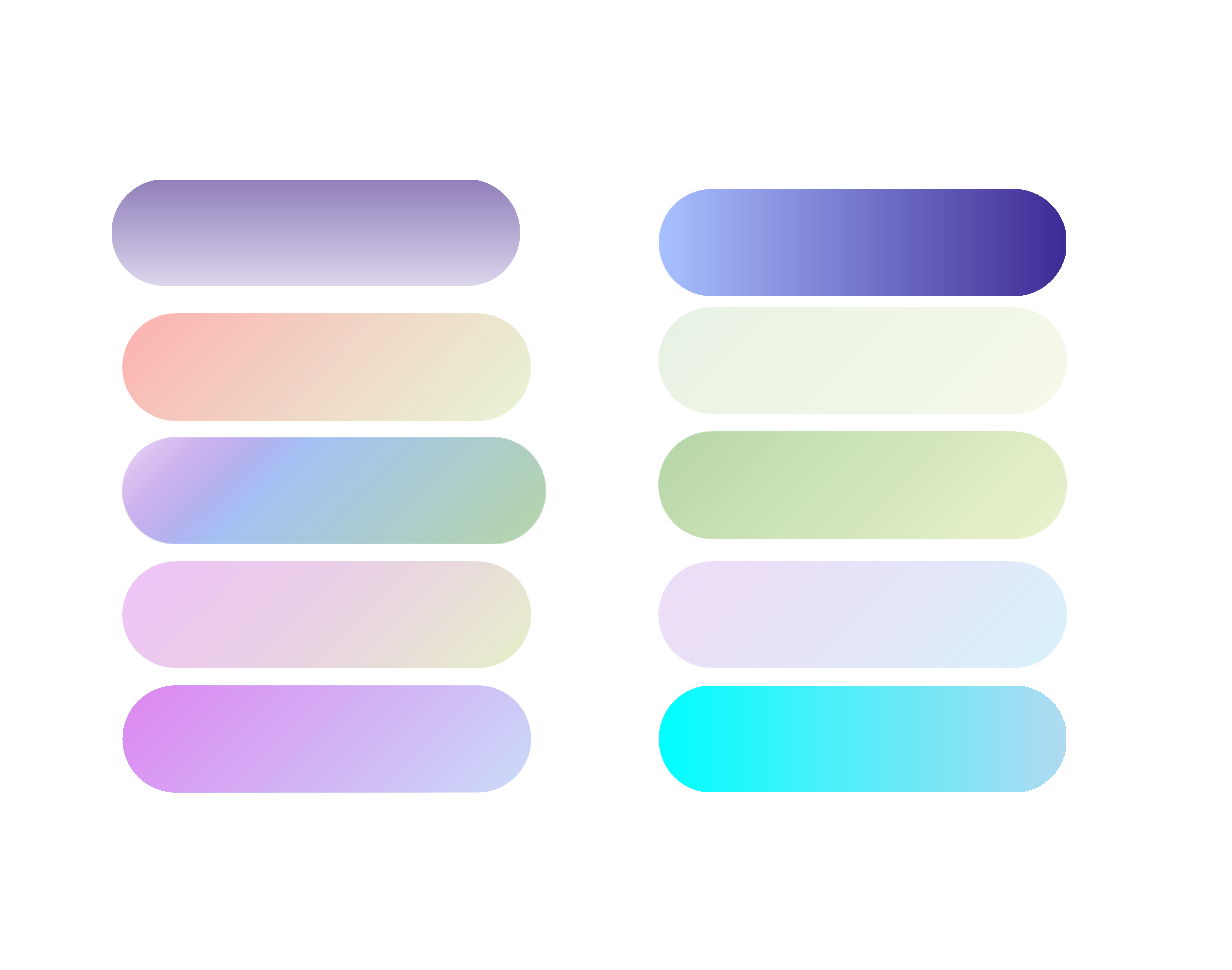
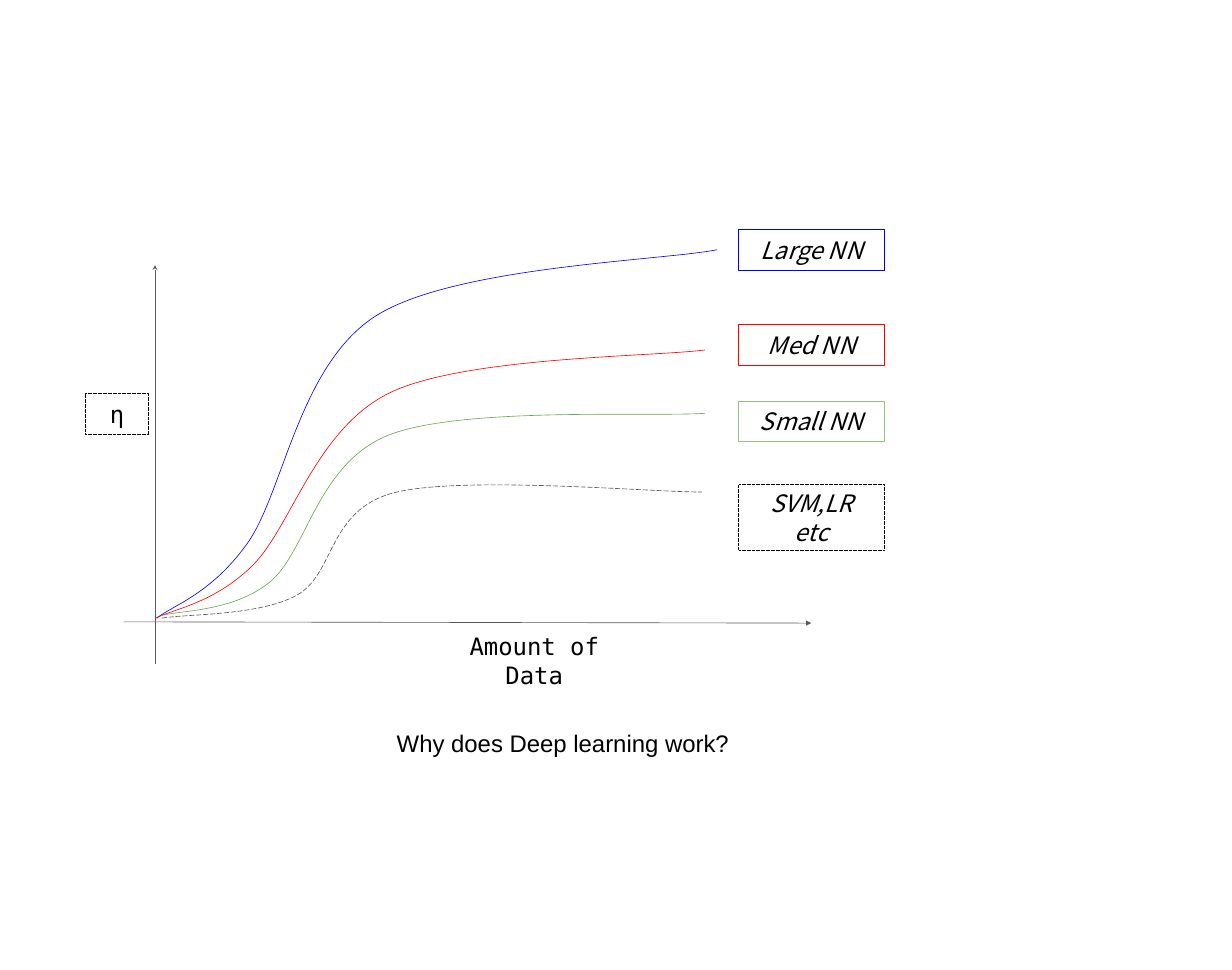
from lxml.etree import SubElement
from pptx import Presentation
from pptx.dml.color import RGBColor
from pptx.enum.dml import MSO_LINE
from pptx.enum.shapes import MSO_CONNECTOR, MSO_SHAPE
from pptx.enum.text import MSO_ANCHOR, MSO_AUTO_SIZE, PP_ALIGN
from pptx.oxml.ns import qn
from pptx.util import Emu, Pt

PX = 9144
TITLE_ONLY, BLANK = 5, 6
BLACK, GREY, BLUE, RED = "000000", "595959", "0000FF", "FF0000"
SANS, MONO, HAND = "Arial", "DejaVu Sans Mono", "Noto Sans CJK KR"


def px(*lengths):
    """Turn lengths in px into EMU."""
    return [Emu(n * PX) for n in lengths]


def rgb(value):
    """Turn a hex string into a colour."""
    return RGBColor.from_string(value)


class Deck:
    """Holds the style and the current slide."""

    size = Pt(28)
    inset = 20
    stroke = Pt(0.75)

    def __init__(self, width, height):
        """Start an empty presentation."""
        self.prs = Presentation()
        self.prs.slide_width, self.prs.slide_height = px(width, height)

    def new_slide(self, layout):
        """Add a slide and make it current."""
        self.s = self.prs.slides.add_slide(self.prs.slide_layouts[layout])

    def outline(self, line, color, dash=None):
        """Give a line the common width."""
        line.color.rgb = rgb(color)
        line.width = self.stroke
        if dash:
            line.dash_style = dash

    def put_text(self, sp, text, font, anchor=MSO_ANCHOR.MIDDLE,
                 align=PP_ALIGN.CENTER, italic=None):
        """Put one formatted run into a shape."""
        tf = sp.text_frame
        tf.word_wrap = True
        tf.auto_size = MSO_AUTO_SIZE.NONE
        tf.vertical_anchor = anchor
        (tf.margin_left, tf.margin_top,
         tf.margin_right, tf.margin_bottom) = px(*[self.inset] * 4)
        p = tf.paragraphs[0]
        p.alignment = align
        r = p.add_run()
        r.text = text
        r.font.name = font
        r.font.size = self.size
        r.font.italic = italic
        r.font.color.rgb = rgb(BLACK)

    def title(self, box, text):
        """Place the slide title."""
        sp = self.s.shapes.title
        sp.left, sp.top, sp.width, sp.height = px(*box)
        self.put_text(sp, text, SANS, MSO_ANCHOR.TOP, PP_ALIGN.LEFT)

    def text(self, box, text, font):
        """Add a centred text box."""
        self.put_text(self.s.shapes.add_textbox(*px(*box)), text, font)

    def label(self, box, text, color, font=HAND, dash=None, italic=True):
        """Add an outlined box with text."""
        sp = self.s.shapes.add_shape(MSO_SHAPE.RECTANGLE, *px(*box))
        sp.shadow.inherit = False
        sp.fill.background()
        self.outline(sp.line, color, dash)
        self.put_text(sp, text, font, italic=italic)

    def pill(self, box, angle, stops):
        """Add a round-ended bar filled with (position, colour, opacity) stops."""
        sp = self.s.shapes.add_shape(MSO_SHAPE.ROUNDED_RECTANGLE, *px(*box))
        sp.adjustments[0] = 0.5
        sp.shadow.inherit = False
        sp.line.fill.background()
        sp.fill.gradient()
        sp.fill.gradient_angle = angle
        stop_list = sp._element.spPr.find(".//" + qn("a:gsLst"))
        for stop in list(stop_list):
            stop_list.remove(stop)
        for position, color, opacity in stops:
            stop = SubElement(stop_list, qn("a:gs"), pos=str(position * 1000))
            tint = SubElement(stop, qn("a:srgbClr"), val=color)
            if opacity < 100:
                SubElement(tint, qn("a:alpha"), val=str(opacity * 1000))

    def arrow(self, start, end, head):
        """Add a straight axis with an arrowhead at its end."""
        cx = self.s.shapes.add_connector(MSO_CONNECTOR.STRAIGHT, *px(*start, *end))
        self.outline(cx.line, GREY)
        properties = cx._element.spPr
        SubElement(properties.find(qn("a:ln")), qn("a:tailEnd"), type=head)
        SubElement(properties, qn("a:effectLst"))

    def curve(self, points, color, dash=None):
        """Add a chain of cubic curves: a start, then three points for each."""
        builder = self.s.shapes.build_freeform(*points[0], scale=PX)
        builder.add_line_segments(points[1:], close=False)
        sp = builder.convert_to_shape()
        segments = list(sp._element.iter(qn("a:lnTo")))
        for i in range(0, len(segments), 3):
            outline = segments[i].getparent()
            cubic = SubElement(outline, qn("a:cubicBezTo"))
            for segment in segments[i:i + 3]:
                cubic.append(segment[0])
                outline.remove(segment)
        sp.shadow.inherit = False
        sp.fill.background()
        self.outline(sp.line, color, dash)


def gradients(deck):
    """Build the slide of gradient bars."""
    deck.new_slide(BLANK)
    left, right, width, height = 200, 1071, 663, 173
    up, diagonal, across = 90, 135, 0
    pills = [
        (182, 292, width, up, [(0, "DBD4EB", 100), (100, "9180BB", 100)]),
        (right, 308, width, across, [(0, "A8C0FF", 100), (100, "3F2B96", 100)]),
        (left, 510, width, diagonal, [(0, "D8EDBA", 58), (100, "FE9696", 74)]),
        (left, 711, 687, diagonal,
         [(0, "B6D7A8", 100), (64, "A4C2F4", 100), (100, "9F39D5", 17)]),
        (left, 913, width, diagonal, [(0, "E0EDBA", 79), (100, "DE87F1", 48)]),
        (left, 1115, width, diagonal, [(0, "C9DAF8", 100), (100, "DE87F1", 100)]),
        (right, 500, width, diagonal, [(0, "E0EDBA", 29), (100, "B6D7A8", 31)]),
        (right, 702, width, diagonal, [(0, "E0EDBA", 71), (100, "B6D7A8", 100)]),
        (right, 913, width, diagonal, [(0, "69D4F4", 26), (100, "9F39D5", 17)]),
        (right, 1115, width, across, [(0, "00FFFF", 100), (100, "B0DAF1", 100)]),
    ]
    for x, y, w, angle, stops in pills:
        deck.pill((x, y, w, height), angle, stops)


def learning_curves(deck):
    """Build the slide of performance against amount of data."""
    deck.new_slide(TITLE_ONLY)
    deck.arrow((252, 1080), (252, 431), "stealth")
    deck.arrow((201, 1011), (1319, 1013), "triangle")
    curves = [
        (BLUE, None, [(255, 1005), (279, 985), (342, 967), (401, 885),
                      (461, 803), (485, 593), (612, 513),
                      (740, 433), (1074, 424), (1166, 406)]),
        (RED, None, [(253, 1005), (279, 991), (346, 982), (409, 921),
                     (473, 860), (512, 697), (635, 638),
                     (757, 580), (1061, 580), (1146, 569)]),
        ("6AA84F", None, [(262, 1001), (291, 992), (376, 996), (438, 947),
                          (499, 898), (515, 753), (633, 707),
                          (751, 661), (1061, 678), (1146, 672)]),
        (GREY, MSO_LINE.LONG_DASH, [(263, 1005), (300, 998), (419, 1002), (482, 968),
                                    (545, 934), (532, 829), (641, 801),
                                    (751, 773), (1058, 800), (1141, 800)]),
    ]
    for color, dash, points in curves:
        deck.curve(points, color, dash)
    dot = MSO_LINE.ROUND_DOT
    labels = [
        (373, 66, "Large NN", BLUE, None),
        (528, 66, "Med NN", RED, None),
        (652, 66, "Small NN", "93C47D", None),
        (788, 106, "SVM,LR etc", BLACK, dot),
    ]
    for y, h, text, color, dash in labels:
        deck.label((1201, y, 237, h), text, color, dash=dash)
    deck.label((139, 640, 103, 66), "η", BLACK, MONO, dot, italic=None)
    deck.text((699, 1035, 339, 78), "Amount of Data", MONO)
    deck.title((625, 1165, 664, 111), "Why does Deep learning work?")


def main():
    """Build and save the slides."""
    deck = Deck(2003, 1577)
    gradients(deck)
    learning_curves(deck)
    deck.prs.save("out.pptx")


if __name__ == "__main__":
    main()
